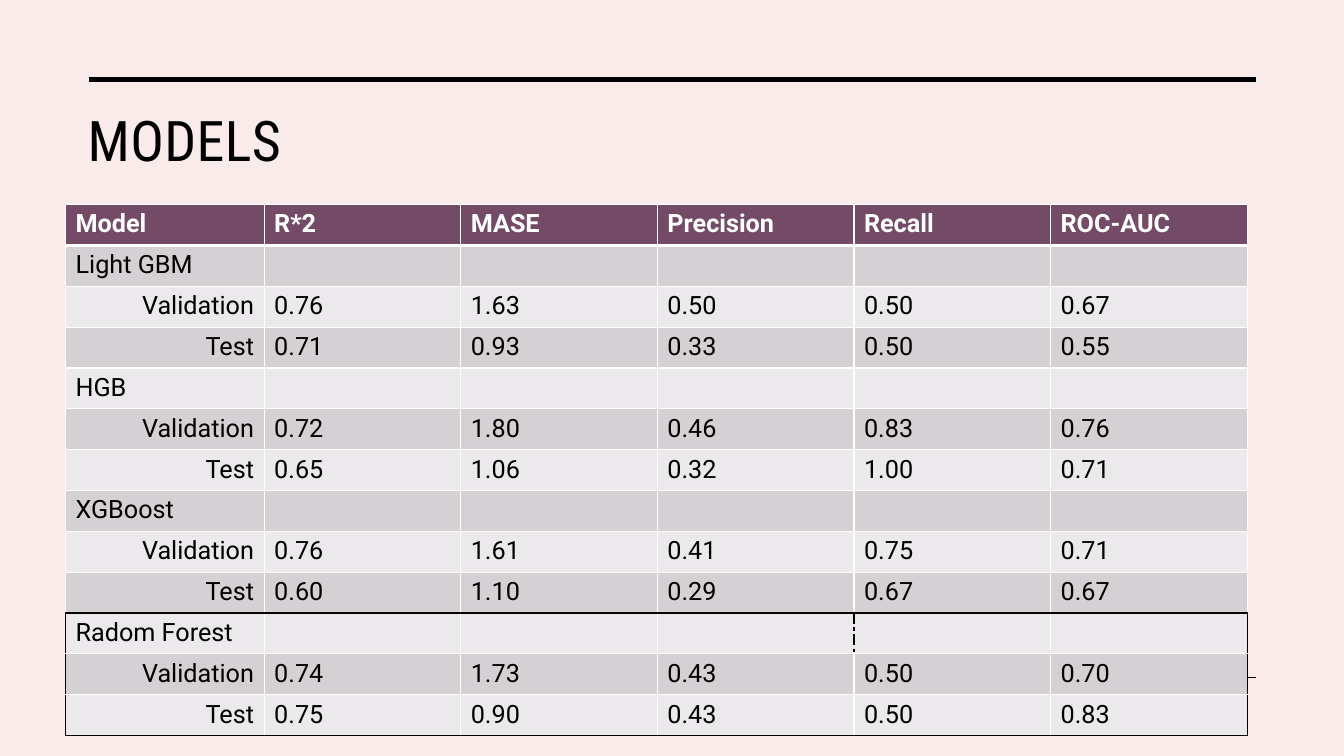
"""Build a slide that compares model scores in a table."""
import lxml.etree
import pptx
import pptx.dml.color
import pptx.enum.dml
import pptx.enum.shapes
import pptx.enum.text
import pptx.oxml
import pptx.oxml.ns
import pptx.util

Inches = pptx.util.Inches
Pt = pptx.util.Pt
RGBColor = pptx.dml.color.RGBColor
Align = pptx.enum.text.PP_ALIGN

BLACK = RGBColor(0x00, 0x00, 0x00)
WHITE = RGBColor(0xFF, 0xFF, 0xFF)
BLUSH = RGBColor(0xF8, 0xEB, 0xE9)
PLUM = RGBColor(0x73, 0x4B, 0x67)
BANDS = (RGBColor(0xEB, 0xE9, 0xEB), RGBColor(0xD5, 0xD0, 0xD3))

TITLE_FONT = {"name": "Roboto Condensed", "size": Pt(40), "bold": False}
HEADER_FONT = {"name": "Roboto", "size": Pt(18), "bold": True}
BODY_FONT = {"name": "Roboto", "size": Pt(18), "bold": False}

HEADER = ["Model", "R*2", "MASE", "Precision", "Recall", "ROC-AUC"]
SCORES = {
    "Light GBM": (
        ("0.76", "1.63", "0.50", "0.50", "0.67"),
        ("0.71", "0.93", "0.33", "0.50", "0.55"),
    ),
    "HGB": (
        ("0.72", "1.80", "0.46", "0.83", "0.76"),
        ("0.65", "1.06", "0.32", "1.00", "0.71"),
    ),
    "XGBoost": (
        ("0.76", "1.61", "0.41", "0.75", "0.71"),
        ("0.60", "1.10", "0.29", "0.67", "0.67"),
    ),
    "Radom Forest": (
        ("0.74", "1.73", "0.43", "0.50", "0.70"),
        ("0.75", "0.90", "0.43", "0.50", "0.83"),
    ),
}
SPLITS = ("Validation", "Test")


def format_font(font, values, color):
    """Set font attributes and colour."""
    for name, value in values.items():
        setattr(font, name, value)
    font.color.rgb = color


def add_rule(slide, top, width):
    """Draw a black horizontal rule across the content width."""
    rule = slide.shapes.add_connector(
        pptx.enum.shapes.MSO_CONNECTOR.STRAIGHT,
        Inches(0.88), Inches(top), Inches(12.46), Inches(top),
    )
    rule.line.color.rgb = BLACK
    rule.line.width = Pt(width)
    lxml.etree.SubElement(rule._element.spPr, pptx.oxml.ns.qn("a:effectLst"))


def set_title(slide, text):
    """Place and format the title placeholder."""
    title = slide.shapes.title
    title.left, title.top = Inches(0.77), Inches(1)
    title.width, title.height = Inches(11.69), Inches(1.43)
    frame = title.text_frame
    frame.text = text
    frame.vertical_anchor = pptx.enum.text.MSO_ANCHOR.TOP
    para = frame.paragraphs[0]
    para.alignment = Align.LEFT
    span = para.runs[0]
    format_font(span.font, TITLE_FONT, BLACK)
    span._r.get_or_add_rPr().set("spc", "30")


def set_border(cell, side, color, width=1, dash="solid"):
    """Add one border line to a cell."""
    properties = cell._tc.get_or_add_tcPr()
    properties.append(pptx.oxml.parse_xml(
        f'<a:ln{side} {pptx.oxml.ns.nsdecls("a")} w="{Pt(width)}">'
        f'<a:solidFill><a:srgbClr val="{color}"/></a:solidFill>'
        f'<a:prstDash val="{dash}"/></a:ln{side}>'
    ))


def add_borders(cell, row, column, row_count, column_count):
    """Border a cell in white, with a black frame round the last model."""
    frame_top = row_count - 3
    framed = row >= frame_top
    last_column = column_count - 1
    dashed_left = row == frame_top and column == 4
    dashed_right = row == frame_top and column == 3
    black = {
        "L": framed and column == 0 or dashed_left,
        "R": framed and column == last_column or dashed_right,
        "T": row == frame_top,
        "B": row in (frame_top - 1, row_count - 1),
    }
    dashed = {"L": dashed_left, "R": dashed_right}
    for side, is_black in black.items():
        color = BLACK if is_black else WHITE
        width = 3 if row == 0 and side == "B" else 1
        dash = "sysDashDot" if dashed.get(side) else "solid"
        set_border(cell, side, color, width, dash)


def score_rows():
    """List the table rows: header, then each model with its splits."""
    rows = [HEADER]
    for model, results in SCORES.items():
        rows.append([model] + [""] * (len(HEADER) - 1))
        rows += [[split, *values] for split, values in zip(SPLITS, results)]
    return rows


def fill_cell(cell, text, row):
    """Write, align and colour one cell."""
    cell.fill.solid()
    cell.fill.fore_color.rgb = BANDS[row % 2] if row else PLUM
    para = cell.text_frame.paragraphs[0]
    para.alignment = Align.RIGHT if text in SPLITS else Align.LEFT
    format_font(para.font, BODY_FONT, BLACK)
    if text:
        span = para.add_run()
        span.text = text
        format_font(span.font, BODY_FONT if row else HEADER_FONT, BLACK if row else WHITE)


def add_score_table(slide):
    """Add the table of model scores."""
    rows = score_rows()
    table = slide.shapes.add_table(
        len(rows), len(HEADER),
        Inches(0.65), Inches(2.03), Inches(11.72), Inches(5.27),
    ).table
    for column in table.columns:
        column.width = Inches(1.95)
    table.columns[0].width = Inches(1.97)
    for row, texts in enumerate(rows):
        for column, text in enumerate(texts):
            cell = table.cell(row, column)
            add_borders(cell, row, column, len(rows), len(HEADER))
            fill_cell(cell, text, row)


def main():
    """Build and save the deck."""
    deck = pptx.Presentation()
    deck.slide_width, deck.slide_height = Inches(13.33), Inches(7.5)
    page = deck.slides.add_slide(deck.slide_layouts[5])
    page.background.fill.solid()
    page.background.fill.fore_color.rgb = BLUSH
    add_rule(page, 0.79, 3.5)
    add_rule(page, 6.72, 1)
    set_title(page, "MODELS")
    add_score_table(page)
    deck.save("out.pptx")


if __name__ == "__main__":
    main()
